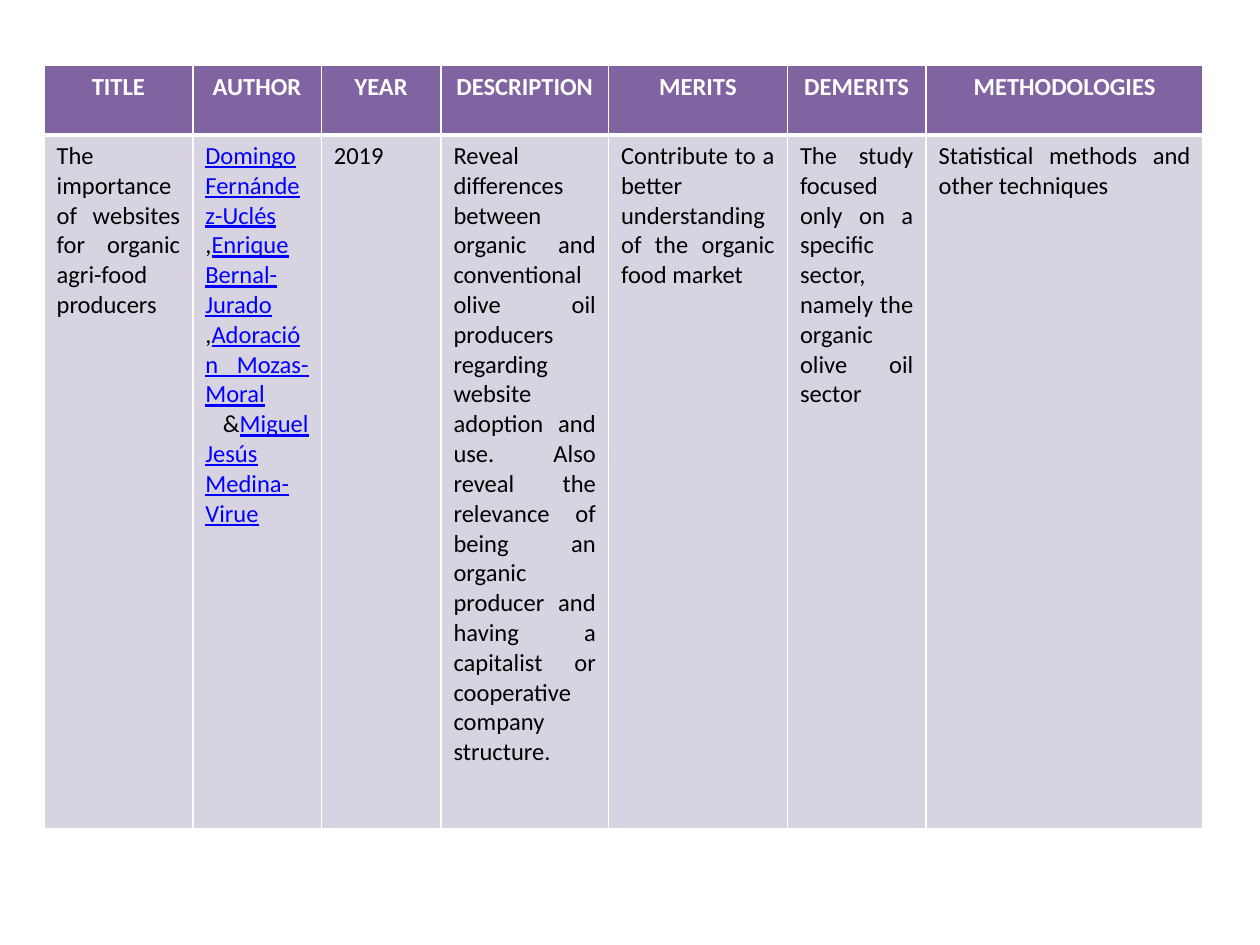
from dataclasses import dataclass

from lxml.etree import SubElement
from pptx import Presentation
from pptx.dml.color import RGBColor as Color
from pptx.enum.text import PP_ALIGN as Align
from pptx.oxml.ns import qn
from pptx.util import Inches, Pt


@dataclass(frozen=True)
class Theme:
    font: str = "Calibri"
    size: int = 14
    header_fill: str = "8064A2"
    body_fill: str = "D8D3E0"
    white: str = "FFFFFF"
    black: str = "000000"
    link: str = "0000FF"


theme = Theme()


def add_span(para, text, color=theme.black, bold=False, underline=False):
    span = para.add_run()
    span.text = text
    span.font.name = theme.font
    span.font.size = Pt(theme.size)
    span.font.color.rgb = Color.from_string(color)
    span.font.bold = bold
    span.font.underline = underline


def style_cell(cell, fill, top=1, bottom=1):
    """Draw the white cell borders (widths in points), then the fill."""
    properties = cell._tc.get_or_add_tcPr()
    for side, width in (("L", 1), ("R", 1), ("T", top), ("B", bottom)):
        line = SubElement(properties, qn(f"a:ln{side}"), w=str(Pt(width)))
        paint = SubElement(line, qn("a:solidFill"))
        SubElement(paint, qn("a:srgbClr"), val=theme.white)
    cell.fill.solid()
    cell.fill.fore_color.rgb = Color.from_string(fill)


# Columns: heading, width in inches, body text
columns = [
    ("TITLE", 1.18, "The importance of websites for organic agri-food producers"),
    ("AUTHOR", 1.02, None),
    ("YEAR", 0.95, "2019"),
    ("DESCRIPTION", 1.33,
     "Reveal differences between organic and conventional olive oil producers "
     "regarding website adoption and use. Also reveal the relevance of being an "
     "organic producer and having a capitalist or cooperative company structure."),
    ("MERITS", 1.42, "Contribute to a better understanding of the organic food market"),
    ("DEMERITS", 1.1,
     "The study focused only on a specific sector, namely the organic olive oil sector"),
    ("METHODOLOGIES", 2.2, "Statistical methods and other techniques"),
]

# Authors: separator before the name, name
authors = [
    ("", "Domingo Fernández-Uclés"),
    (",", "Enrique Bernal-Jurado"),
    (",", "Adoración Mozas-Moral"),
    (" &", "Miguel Jesús Medina-Virue"),
]

# Page
deck = Presentation()
deck.slide_width, deck.slide_height = Inches(10), Inches(7.5)
page = deck.slides.add_slide(deck.slide_layouts[6])

# Table grid
table = page.shapes.add_table(
    2, len(columns), Inches(0.35), Inches(0.52), Inches(9.2), Inches(6.06)
).table
table.rows[0].height = Inches(0.55)
table.rows[1].height = Inches(5.51)

for index, (heading, width, body) in enumerate(columns):
    table.columns[index].width = Inches(width)

    # Header cell
    header_cell = table.cell(0, index)
    style_cell(header_cell, theme.header_fill, bottom=3)
    para = header_cell.text_frame.paragraphs[0]
    para.alignment = Align.CENTER
    add_span(para, heading, color=theme.white, bold=True)

    # Body cell: plain text, or one paragraph for each author
    body_cell = table.cell(1, index)
    style_cell(body_cell, theme.body_fill, top=3)
    frame = body_cell.text_frame
    entries = [(body, "")] if body else authors
    for number, (plain, linked) in enumerate(entries):
        para = frame.add_paragraph() if number else frame.paragraphs[0]
        para.alignment = Align.JUSTIFY
        if plain:
            add_span(para, plain)
        if linked:
            add_span(para, linked, color=theme.link, underline=True)

deck.save("out.pptx")
